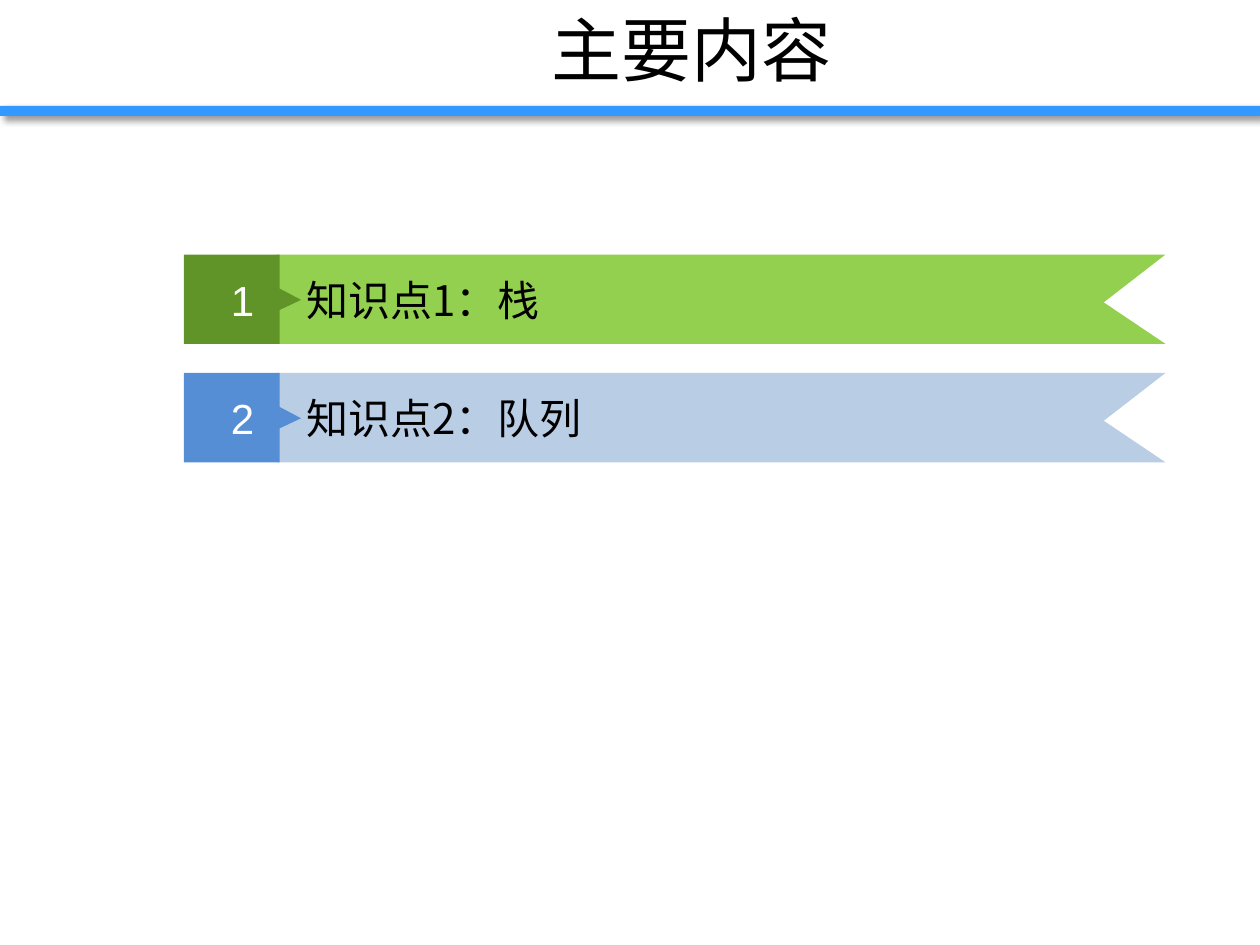
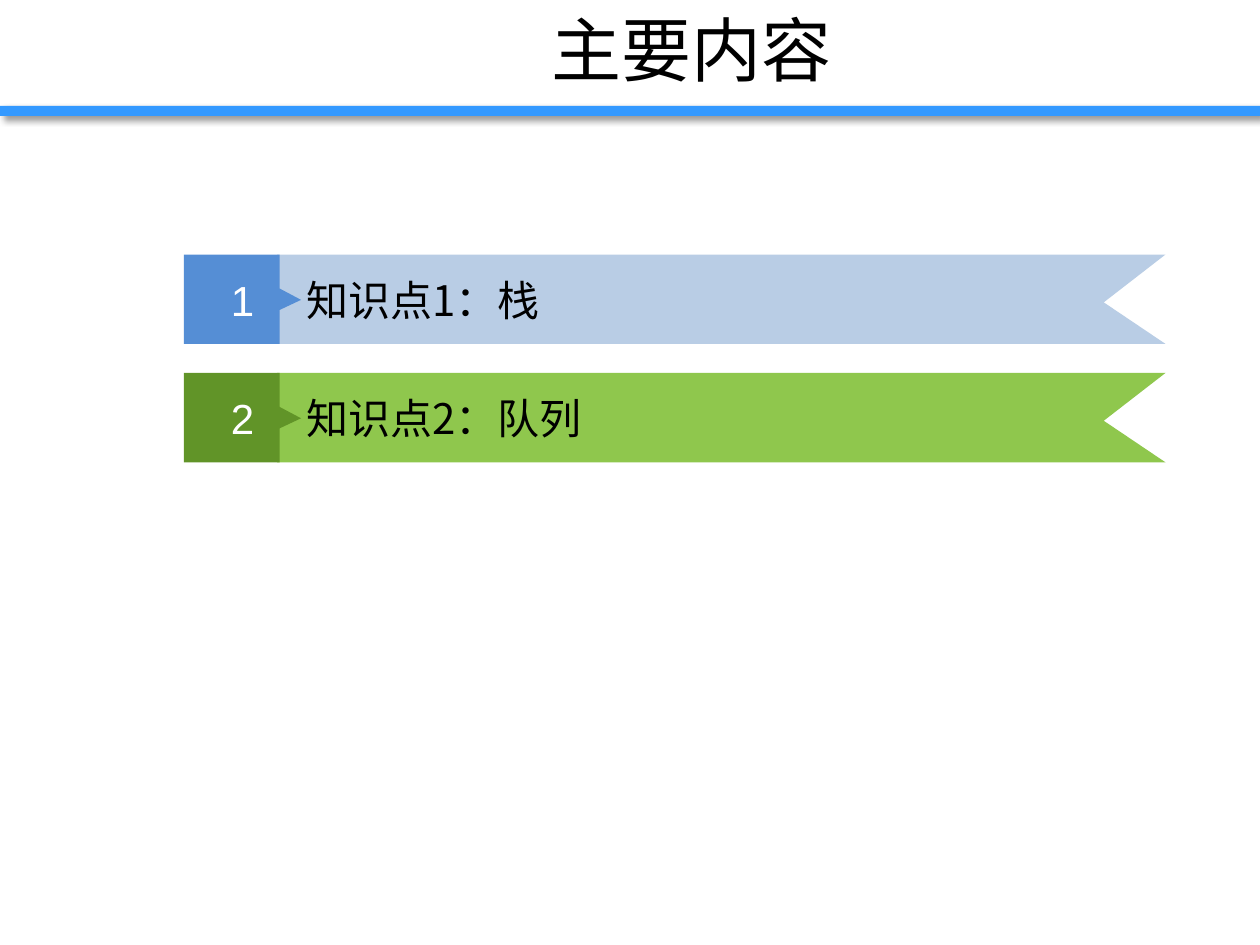
from lxml.etree import SubElement
from pptx import Presentation
from pptx.dml.color import RGBColor
from pptx.enum.shapes import MSO_SHAPE
from pptx.enum.text import MSO_ANCHOR, MSO_AUTO_SIZE, PP_ALIGN
from pptx.oxml.ns import qn
from pptx.util import Inches, Pt

BLACK = RGBColor(0x00, 0x00, 0x00)
WHITE = RGBColor(0xFF, 0xFF, 0xFF)
BAR_BLUE = RGBColor(0x33, 0x99, 0xFF)
BLUE = RGBColor(0x55, 0x8E, 0xD5)
PALE_BLUE = RGBColor(0xB9, 0xCD, 0xE5)
GREEN = RGBColor(0x61, 0x94, 0x28)
BRIGHT_GREEN = RGBColor(0x93, 0xD0, 0x50)
SOFT_GREEN = RGBColor(0x8F, 0xC7, 0x4D)

CHINESE_FONT = "Noto Sans CJK SC"
NUMBER_FONT = "Arial"

TITLE = "主要内容"
TOPICS = ["知识点1：栈", "知识点2：队列"]
# One (tag colour, ribbon colour) pair per topic, for each slide
SLIDE_COLOURS = [
    [(GREEN, BRIGHT_GREEN), (BLUE, PALE_BLUE)],
    [(BLUE, PALE_BLUE), (GREEN, SOFT_GREEN)],
]

TAG_LEFT, RIBBON_LEFT = 1.46, 2.2
FIRST_TOP, ROW_STEP = 2.02, 0.94
# Outlines relative to the top left corner of each shape
RIBBON_OUTLINE = [(0, 0), (7.05, 0), (6.56, 0.38), (7.05, 0.71), (0, 0.71)]
TAG_OUTLINE = [(0, 0), (0.76, 0), (0.76, 0.27), (0.93, 0.36),
               (0.76, 0.44), (0.76, 0.71), (0, 0.71)]


def write_text(shape, text, size=24, font=CHINESE_FONT, colour=BLACK,
               align=PP_ALIGN.LEFT, left_margin=0.1):
    frame = shape.text_frame
    frame.word_wrap = True
    frame.auto_size = MSO_AUTO_SIZE.NONE
    frame.vertical_anchor = MSO_ANCHOR.MIDDLE
    frame.margin_left = Inches(left_margin)
    paragraph = frame.paragraphs[0]
    paragraph.alignment = align
    run = paragraph.add_run()
    run.text = text
    run.font.size = Pt(size)
    run.font.name = font
    run.font.color.rgb = colour
    SubElement(run.font._element, qn("a:ea"), typeface=font)


class Deck:
    def __init__(self):
        self.presentation = Presentation()
        self.presentation.slide_width = Inches(10)
        self.presentation.slide_height = Inches(7.5)
        self.slide = None

    def add_slide(self):
        layout = self.presentation.slide_layouts.get_by_name("Title Only")
        self.slide = self.presentation.slides.add_slide(layout)

    def paint(self, shape, colour):
        shape.shadow.inherit = False
        shape.fill.solid()
        shape.fill.fore_color.rgb = colour
        shape.line.fill.background()

    def add_master_bar(self):
        """Draw the shadowed bar, then move it to the master for all slides."""
        bar = self.slide.shapes.add_shape(
            MSO_SHAPE.RECTANGLE, 0, Inches(0.84), Inches(10), Inches(0.08))
        self.paint(bar, BAR_BLUE)
        effects = bar.element.spPr.find(qn("a:effectLst"))
        shadow = SubElement(effects, qn("a:outerShdw"), blurRad=str(Pt(4)),
                            dist=str(Pt(3)), dir="2700000", algn="tl",
                            rotWithShape="0")
        colour = SubElement(shadow, qn("a:srgbClr"), val=str(BLACK))
        SubElement(colour, qn("a:alpha"), val="40000")
        self.presentation.slide_master.shapes.element.append(bar.element)

    def add_title(self, text):
        title = self.slide.shapes.title
        title.left, title.top = Inches(0.98), 0
        title.width, title.height = Inches(9.02), Inches(0.77)
        write_text(title, text, size=40, align=PP_ALIGN.CENTER)

    def add_outline(self, group, left, top, outline, colour):
        points = [(Inches(left + x), Inches(top + y)) for x, y in outline]
        builder = group.shapes.build_freeform(*points[0])
        builder.add_line_segments(points[1:], close=True)
        shape = builder.convert_to_shape()
        self.paint(shape, colour)
        return shape

    def add_topic(self, number, text, tag_colour, ribbon_colour):
        top = FIRST_TOP + (number - 1) * ROW_STEP
        group = self.slide.shapes.add_group_shape()
        ribbon = self.add_outline(group, RIBBON_LEFT, top, RIBBON_OUTLINE, ribbon_colour)
        write_text(ribbon, text, left_margin=0.23)
        tag = self.add_outline(group, TAG_LEFT, top, TAG_OUTLINE, tag_colour)
        write_text(tag, str(number), font=NUMBER_FONT, colour=WHITE,
                   align=PP_ALIGN.CENTER)


def main():
    deck = Deck()
    for index, colours in enumerate(SLIDE_COLOURS):
        deck.add_slide()
        if index == 0:
            deck.add_master_bar()
        deck.add_title(TITLE)
        for number, (topic, pair) in enumerate(zip(TOPICS, colours), start=1):
            deck.add_topic(number, topic, *pair)
    deck.presentation.save("out.pptx")


if __name__ == "__main__":
    main()
